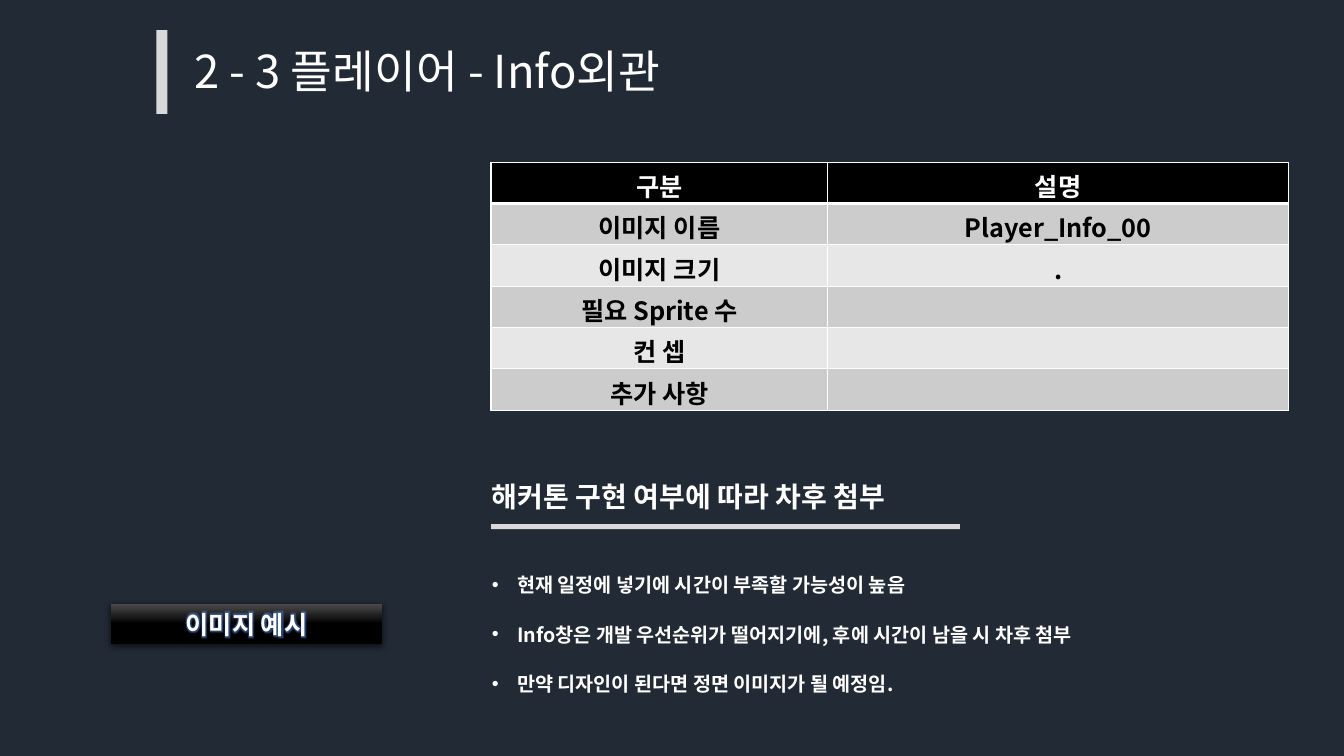
from lxml import etree
from pptx import Presentation
from pptx.dml.color import RGBColor
from pptx.enum.shapes import MSO_SHAPE as Preset
from pptx.enum.text import MSO_ANCHOR as Anchor, PP_ALIGN as Align
from pptx.oxml import parse_xml
from pptx.oxml.ns import nsdecls, qn
from pptx.util import Inches, Pt

FONT = "Noto Sans CJK KR"
NAVY = RGBColor(0x22, 0x2A, 0x35)
WHITE = RGBColor(0xFF, 0xFF, 0xFF)
BLACK = RGBColor(0, 0, 0)
BAR_GRAY = RGBColor(0xD9, 0xD9, 0xD9)
BUTTON_GRAY = RGBColor(0x4B, 0x4B, 0x4B)
BANDS = (RGBColor(0xCC, 0xCC, 0xCC), RGBColor(0xE7, 0xE7, 0xE7))

TABLE_LEFT = 4.87
TEXT_LEFT = 4.78
ROWS = (
    ("구분", "설명"),
    ("이미지 이름", "Player_Info_00"),
    ("이미지 크기", "."),
    ("필요 Sprite 수", ""),
    ("컨 셉", ""),
    ("추가 사항", ""),
)
NOTES = (
    "현재 일정에 넣기에 시간이 부족할 가능성이 높음",
    "Info창은 개발 우선순위가 떨어지기에, 후에 시간이 남을 시 차후 첨부",
    "만약 디자인이 된다면 정면 이미지가 될 예정임.",
)


def style_run(run, color, **values):
    """Apply font values and colour to a run, for Latin and Korean text."""
    for name, value in {"name": FONT, **values}.items():
        setattr(run.font, name, value)
    run.font.color.rgb = color
    etree.SubElement(run._r.get_or_add_rPr(), qn("a:ea"), typeface=FONT)


def add_bullet(paragraph):
    """Give a paragraph a round bullet with a hanging indent."""
    properties = paragraph._p.get_or_add_pPr()
    properties.set("marL", str(Inches(0.25)))
    properties.set("indent", str(-Inches(0.25)))
    etree.SubElement(properties, qn("a:buFont"), typeface="Arial")
    etree.SubElement(properties, qn("a:buChar"), char="•")


def add_text(slide, box, lines, size, bold=True, spacing=0.9, bullets=False, anchor=Anchor.TOP):
    """Add a wrapping text box with one paragraph per line."""
    frame = slide.shapes.add_textbox(*map(Inches, box)).text_frame
    frame.word_wrap = True
    frame.vertical_anchor = anchor
    for index, line in enumerate(lines):
        paragraph = frame.add_paragraph() if index else frame.paragraphs[0]
        paragraph.line_spacing = spacing
        paragraph.space_before = Pt(10 if index else 0)
        if bullets:
            add_bullet(paragraph)
        run = paragraph.add_run()
        run.text = line
        style_run(run, WHITE, size=Pt(size), bold=bold)


def add_bar(slide, box):
    """Add a plain rectangle without outline or shadow."""
    shape = slide.shapes.add_shape(Preset.RECTANGLE, *map(Inches, box))
    shape.shadow.inherit = False
    shape.fill.solid()
    shape.fill.fore_color.rgb = BAR_GRAY
    shape.line.fill.background()
    return shape


def add_button(slide, box, label):
    """Add a glossy button with a soft shadow and a glowing label."""
    shape = add_bar(slide, box)
    shape.fill.gradient()
    shape.fill.gradient_angle = 270
    for stop, color, position in zip(shape.fill.gradient_stops, (BUTTON_GRAY, BLACK), (0, 0.5)):
        stop.color.rgb = color
        stop.position = position
    shape._element.spPr.find(qn("a:effectLst")).append(parse_xml(
        f'<a:outerShdw {nsdecls("a")} blurRad="{Pt(4.5)}" dist="{Pt(1.5)}" dir="5400000" '
        'rotWithShape="0"><a:srgbClr val="000000"><a:alpha val="63000"/></a:srgbClr></a:outerShdw>'))
    paragraph = shape.text_frame.paragraphs[0]
    paragraph.alignment = Align.CENTER
    run = paragraph.add_run()
    run.text = label
    style_run(run, WHITE, size=Pt(18), bold=True)
    run._r.rPr.find(qn("a:solidFill")).addnext(parse_xml(
        f'<a:effectLst {nsdecls("a")}><a:glow rad="{Pt(5)}"><a:srgbClr val="4472C4">'
        '<a:alpha val="60000"/></a:srgbClr></a:glow></a:effectLst>'))


def set_borders(cell, bottom):
    """Draw white borders round a cell, with the given bottom width."""
    properties = cell._tc.get_or_add_tcPr()
    widths = {"lnL": 1, "lnR": 1, "lnT": 1, "lnB": bottom}
    for index, (side, width) in enumerate(widths.items()):
        properties.insert(index, parse_xml(
            f'<a:{side} {nsdecls("a")} w="{Pt(width)}"><a:solidFill>'
            f'<a:srgbClr val="{WHITE}"/></a:solidFill></a:{side}>'))


def add_info_table(slide):
    """Add the two-column description table with banded rows."""
    box = map(Inches, (TABLE_LEFT, 1.61, 7.91, 2.46))
    table = slide.shapes.add_table(len(ROWS), 2, *box).table
    for column, width in zip(table.columns, (3.34, 4.57)):
        column.width = Inches(width)
    for row_index, texts in enumerate(ROWS):
        table.rows[row_index].height = Inches(0.41)
        header = row_index == 0
        for column_index, text in enumerate(texts):
            cell = table.cell(row_index, column_index)
            cell.vertical_anchor = Anchor.MIDDLE
            cell.fill.solid()
            cell.fill.fore_color.rgb = BLACK if header else BANDS[(row_index - 1) % 2]
            set_borders(cell, 3 if header else 1)
            paragraph = cell.text_frame.paragraphs[0]
            paragraph.alignment = Align.CENTER
            if text:
                run = paragraph.add_run()
                run.text = text
                style_run(run, WHITE if header else BLACK, size=Pt(18), bold=True)


def main():
    """Build the player info slide and save it."""
    presentation = Presentation()
    presentation.slide_width = Inches(13.33)
    presentation.slide_height = Inches(7.5)
    slide = presentation.slides.add_slide(presentation.slide_layouts[6])
    slide.background.fill.solid()
    slide.background.fill.fore_color.rgb = NAVY

    add_bar(slide, (1.55, 0.3, 0.11, 0.83))
    add_text(slide, (1.83, 0.43, 9.73, 0.61), ["2 - 3 플레이어 - Info외관"], 32.4,
             bold=False, anchor=Anchor.MIDDLE)
    add_info_table(slide)
    add_text(slide, (TEXT_LEFT, 5.52, 7.93, 2.08), NOTES, 14, spacing=1.5, bullets=True)
    add_text(slide, (TEXT_LEFT, 4.75, 5.47, 0.5), ["해커톤 구현 여부에 따라 차후 첨부"], 20)
    add_bar(slide, (TABLE_LEFT, 5.2, 4.65, 0.05))
    add_button(slide, (1.1, 5.99, 2.69, 0.4), "이미지 예시")
    presentation.save("out.pptx")


if __name__ == "__main__":
    main()
